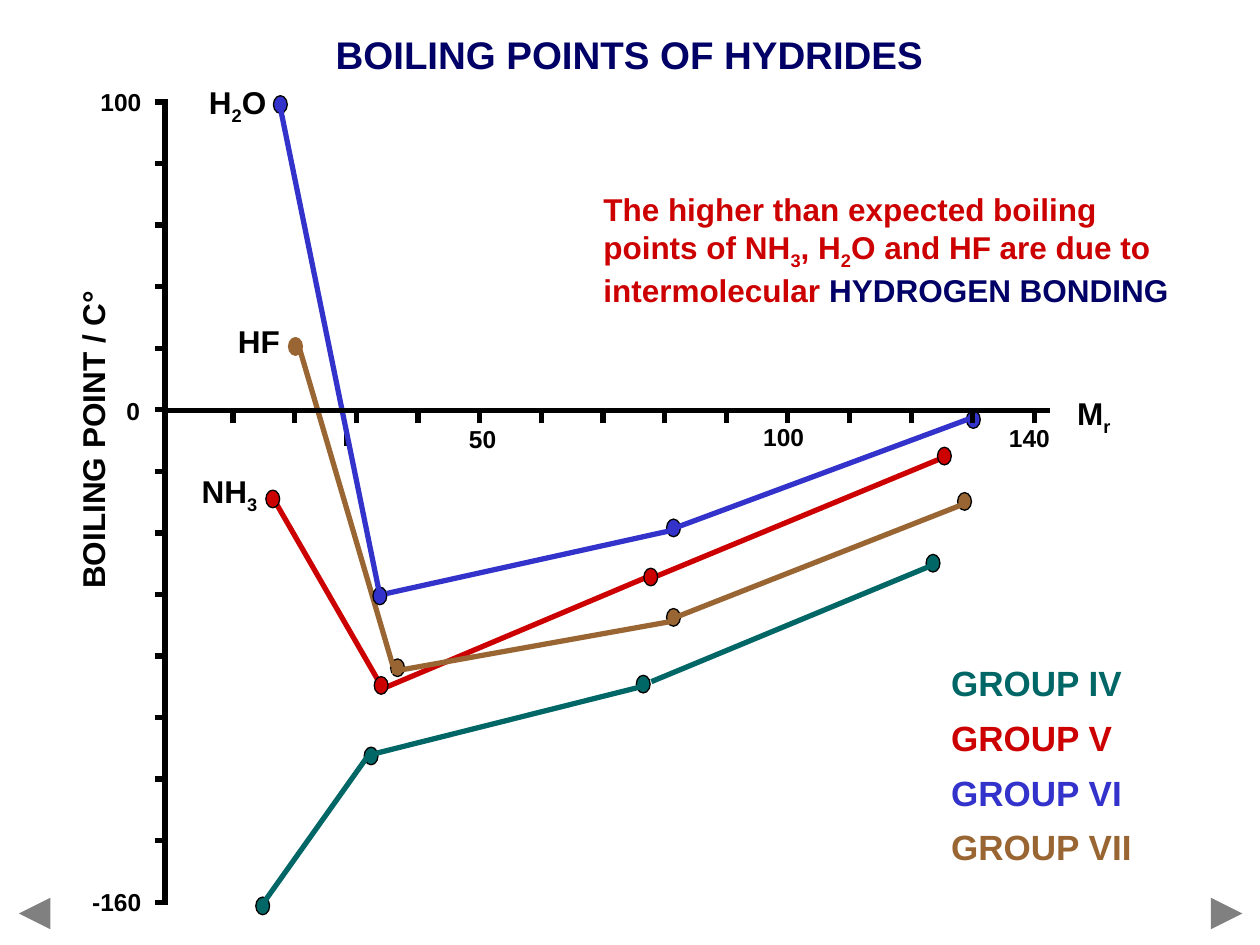
"""Build the slide on boiling points of hydrides."""
from lxml import etree
from pptx import Presentation
from pptx.dml.color import RGBColor
from pptx.enum.shapes import MSO_CONNECTOR, MSO_SHAPE
from pptx.enum.text import PP_ALIGN
from pptx.oxml.ns import qn
from pptx.util import Inches, Pt

STRAIGHT = MSO_CONNECTOR.STRAIGHT
OVAL = MSO_SHAPE.OVAL
LEFT, MID, RIGHT = PP_ALIGN.LEFT, PP_ALIGN.CENTER, PP_ALIGN.RIGHT
BLACK, GREY, NAVY = "000000", "808080", "000066"
TEAL, RED, BLUE, BROWN = "006666", "CC0000", "3333CC", "996633"
color = RGBColor.from_string


def draw(shapes, start, end, hue, width=3, arrow=False):
    line = shapes.add_connector(
        STRAIGHT, *[Inches(v) for v in (*start, *end)])
    line.line.color.rgb = color(hue)
    line.line.width = Pt(width)
    if arrow:
        tip = etree.SubElement(line.line._get_or_add_ln(), qn("a:tailEnd"))
        tip.set("type", "triangle")
    etree.SubElement(line._element.spPr, qn("a:effectLst"))


def write(shapes, place, lines, size, align=LEFT, gap=0):
    box = shapes.add_textbox(*[Inches(v) for v in place])
    frame = box.text_frame
    frame.word_wrap = True
    for i, runs in enumerate(lines):
        para = frame.add_paragraph() if i else frame.paragraphs[0]
        para.alignment = align
        if i:
            para.space_before = Pt(gap)
        for text, hue, low in runs:
            run = para.add_run()
            run.text = text
            run.font.name = "Arial"
            run.font.size = Pt(size)
            run.font.bold = True
            run.font.color.rgb = color(hue)
            if low:
                run._r.get_or_add_rPr().set("baseline", "-25000")
    return box


deck = Presentation()
deck.slide_width, deck.slide_height = Inches(10), Inches(7.5)
slide = deck.slides.add_slide(deck.slide_layouts[6])
shapes = slide.shapes

draw(shapes, (9.65, 7.25), (9.86, 7.25), GREY, 6, True)
draw(shapes, (0.36, 7.25), (0.15, 7.25), GREY, 6, True)
write(shapes, (1.58, 0.2, 6.83, 0.47),
      [[("BOILING POINTS OF HYDRIDES", NAVY, False)]], 22, MID)

draw(shapes, (2.75, 3.43), (2.75, 3.54), BLACK)

series = [
    (TEAL, BLACK, False,
     [(2.03, 7.12), (2.89, 5.93), (5.05, 5.36), (7.35, 4.4)],
     [((2.06, 7.21), (2.92, 6)), ((2.94, 5.99), (5.09, 5.45)),
      ((5.17, 5.41), (7.39, 4.49))]),
    (RED, BLACK, True,
     [(2.11, 3.89), (2.97, 5.37), (5.11, 4.51), (7.44, 3.55)],
     [((5.17, 4.59), (7.49, 3.63)), ((3.05, 5.46), (5.16, 4.57)),
      ((2.16, 3.94), (3.03, 5.45))]),
    (BROWN, BROWN, False,
     [(2.29, 2.68), (3.1, 5.23), (5.29, 4.83), (7.6, 3.91)],
     [((2.37, 2.74), (3.12, 5.29)), ((3.11, 5.33), (5.34, 4.93)),
      ((5.36, 4.9), (7.65, 4))]),
    (BLUE, BLACK, False,
     [(2.17, 0.76), (2.96, 4.66), (5.29, 4.12), (7.67, 3.26)],
     [((2.23, 0.88), (3.01, 4.7)), ((5.33, 4.21), (3.07, 4.71)),
      ((7.73, 3.31), (5.33, 4.2))]),
]
for hue, first_rim, lines_first, dots, lines in series:
    group = shapes.add_group_shape().shapes
    for step in ("lines", "dots") if lines_first else ("dots", "lines"):
        if step == "lines":
            for start, end in lines:
                draw(group, start, end, hue)
            continue
        for i, (x, y) in enumerate(dots):
            dot = group.add_shape(
                OVAL, Inches(x), Inches(y), Inches(0.11), Inches(0.14))
            dot.shadow.inherit = False
            dot.fill.solid()
            dot.fill.fore_color.rgb = color(hue)
            dot.line.color.rgb = color(BLACK if i else first_rim)
            dot.line.width = Pt(0.75)

legend = [("GROUP IV", TEAL), ("GROUP V", RED),
          ("GROUP VI", BLUE), ("GROUP VII", BROWN)]
write(shapes, (7.45, 5.2, 2.06, 1.7),
      [[(name, hue, False)] for name, hue in legend], 20, gap=7.3)

axes = shapes.add_group_shape().shapes
draw(axes, (1.31, 0.81), (1.31, 7.18), BLACK)
draw(axes, (8.33, 3.26), (1.33, 3.26), BLACK)
for i in range(14):
    y = 0.81 + i * (7.16 - 0.81) / 13
    x = 1.85 + i * (8.21 - 1.85) / 13
    draw(axes, (1.33, y), (1.23, y), BLACK)
    draw(axes, (x, 3.36), (x, 3.26), BLACK)

write(axes, (8.45, 3.08, 0.58, 0.44),
      [[("M", BLACK, False), ("r", BLACK, True)]], 18)
title = write(axes, (-0.7, 3.29, 2.87, 0.4),
              [[("BOILING POINT / C°", BLACK, False)]], 18, MID)
title.rotation = 270
scale = [
    ("100", 0.64, 0.64, 0.58, RIGHT), ("0", 0.63, 3.09, 0.58, RIGHT),
    ("-160", 0.56, 6.99, 0.66, RIGHT), ("140", 7.88, 3.31, 0.58, MID),
    ("50", 3.54, 3.32, 0.58, MID), ("100", 5.93, 3.3, 0.58, MID),
]
for text, x, y, width, align in scale:
    write(axes, (x, y, width, 0.34), [[(text, BLACK, False)]], 14, align)

write(shapes, (1.56, 0.61, 0.8, 0.44),
      [[("H", BLACK, False), ("2", BLACK, True), ("O", BLACK, False)]], 18)
write(shapes, (1.79, 2.51, 0.58, 0.4), [[("HF", BLACK, False)]], 18)
write(shapes, (1.34, 3.7, 0.8, 0.44),
      [[("NH", BLACK, False), ("3", BLACK, True)]], 18, RIGHT)
write(shapes, (4.69, 1.46, 4.78, 1.04), [[
    ("The higher than expected boiling points of NH", RED, False),
    ("3", RED, True),
    (", H", RED, False),
    ("2", RED, True),
    ("O and HF are due to intermolecular ", RED, False),
    ("HYDROGEN BONDING", NAVY, False),
]], 18)

deck.save("out.pptx")
